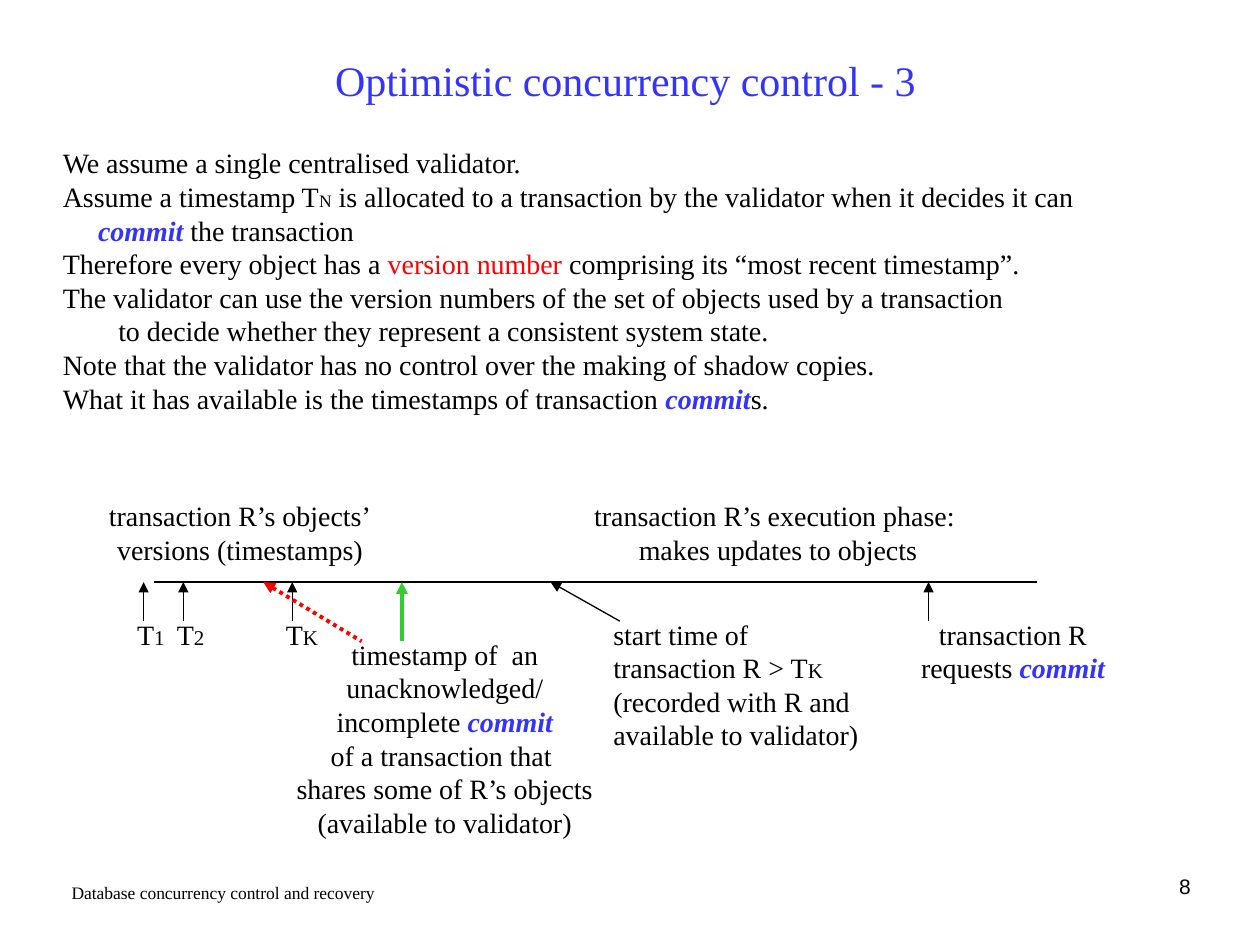
from dataclasses import dataclass
from typing import NamedTuple

from lxml.etree import SubElement
from pptx import Presentation
from pptx.dml.color import RGBColor
from pptx.enum.dml import MSO_LINE
from pptx.enum.shapes import MSO_CONNECTOR
from pptx.enum.text import MSO_ANCHOR, MSO_AUTO_SIZE, PP_ALIGN
from pptx.oxml.ns import qn
from pptx.util import Inches, Length, Pt

COLORS = {"ink": "000000", "blue": "3333FF", "red": "FF0000", "green": "33CC33"}
CELL = Inches(0.1)
COLUMNS, ROWS = 100, 75
AXIS_ROW = 46.2
TICK_ROW = 49.3
LABEL_ROW = 48.5
CAPTION_ROW = 39.1


class Run(NamedTuple):
    text: str
    size: float | None = None
    color: str | None = None
    strong: bool = False


class Line(NamedTuple):
    runs: tuple[Run, ...]
    indent: float = 0


class Area(NamedTuple):
    column: float
    row: float
    columns: float
    rows: float


@dataclass
class Label:
    area: Area
    lines: list[Line]
    align: PP_ALIGN = PP_ALIGN.LEFT


@dataclass
class Arrow:
    tip: float
    tail: float
    tail_row: float = TICK_ROW
    color: str = "ink"
    width: float = 0.75
    dash: MSO_LINE | None = None


def grid(cells: float) -> Length:
    return Length(round(cells * CELL))


def line(*parts: str | Run, indent: float = 0) -> Line:
    return Line(tuple(Run(part) if isinstance(part, str) else part for part in parts), indent)


def add_text(slide, area: Area, lines: list[Line], *, size: float = 16, color: str = "ink",
             font: str = "Times New Roman", align: PP_ALIGN = PP_ALIGN.LEFT,
             anchor: MSO_ANCHOR = MSO_ANCHOR.TOP, wrap: bool = False) -> None:
    shape = slide.shapes.add_textbox(*(grid(cells) for cells in area))
    frame = shape.text_frame
    frame.word_wrap = wrap
    frame.auto_size = MSO_AUTO_SIZE.NONE if wrap else MSO_AUTO_SIZE.SHAPE_TO_FIT_TEXT
    frame.vertical_anchor = anchor
    for index, content in enumerate(lines):
        paragraph = frame.add_paragraph() if index else frame.paragraphs[0]
        paragraph.alignment = align
        if content.indent:
            paragraph._p.get_or_add_pPr().set("marL", str(grid(content.indent)))
        for part in content.runs:
            run = paragraph.add_run()
            run.text = part.text
            run.font.name = font
            run.font.size = Pt(part.size or size)
            run.font.bold = run.font.italic = part.strong
            run.font.color.rgb = RGBColor.from_string(COLORS[part.color or color])


def add_line(slide, start: tuple[float, float], end: tuple[float, float], color: str = "ink",
             width: float = 0.75, dash: MSO_LINE | None = None, arrow: bool = False) -> None:
    connector = slide.shapes.add_connector(
        MSO_CONNECTOR.STRAIGHT, *(grid(cells) for cells in (*start, *end)))
    connector.line.color.rgb = RGBColor.from_string(COLORS[color])
    connector.line.width = Pt(width)
    if dash is not None:
        connector.line.dash_style = dash
    properties = connector._element.spPr
    if arrow:
        SubElement(properties.find(qn("a:ln")), qn("a:headEnd"), type="triangle")
    SubElement(properties, qn("a:effectLst"))


def add_arrow(slide, arrow: Arrow) -> None:
    add_line(slide, (arrow.tip, AXIS_ROW), (arrow.tail, arrow.tail_row),
             arrow.color, arrow.width, arrow.dash, arrow=True)


COMMIT = Run("commit", color="blue", strong=True)

BODY = [
    line("We assume a single centralised validator."),
    line("Assume a timestamp T", Run("N", 10),
         " is allocated to a transaction by the validator when it decides it can"),
    line(COMMIT, " the transaction", indent=2.8),
    line("Therefore every object has a ", Run("version number", color="red"),
         " comprising its “most recent timestamp”."),
    line("The validator can use the version numbers of the set of objects used by a transaction"),
    line("to decide whether they represent a consistent system state.", indent=4.4),
    line("Note that the validator has no control over the making of shadow copies."),
    line("What it has available is the timestamps of transaction ", COMMIT, "s."),
]

LABELS = [
    Label(Area(4, 11.1, 89.9, 25), BODY),
    Label(Area(7.6, CAPTION_ROW, 22.9, 6.4),
          [line("transaction R’s objects’"), line("versions (timestamps)")], PP_ALIGN.CENTER),
    Label(Area(46.1, CAPTION_ROW, 31.3, 6.4),
          [line("transaction R’s execution phase: "), line("makes updates to objects")],
          PP_ALIGN.CENTER),
    Label(Area(47.7, LABEL_ROW, 22, 11.7),
          [line("start time of"), line("transaction R > T", Run("K", 12)),
           line("(recorded with R and"), line("available to validator)")]),
    Label(Area(72.1, LABEL_ROW, 16.6, 6.4),
          [line("transaction R"), line("requests ", COMMIT)], PP_ALIGN.CENTER),
    Label(Area(22.5, 50.1, 25.6, 17),
          [line("timestamp of  an"), line("unacknowledged/"), line("incomplete ", COMMIT),
           line("of a transaction that "), line("shares some of R’s objects"),
           line("(available to validator)")], PP_ALIGN.CENTER),
]

TICKS = {"1": 11.4, "2": 14.55, "K": 23.2}

ARROWS = [
    *(Arrow(column, column) for column in TICKS.values()),
    Arrow(43.7, 49.2),
    Arrow(73.7, 73.7),
    Arrow(31.9, 31.9, 50.9, "green", 2.25),
    Arrow(20.9, 28.7, 50.9, "red", 2.25, MSO_LINE.ROUND_DOT),
]


def main() -> None:
    presentation = Presentation()
    presentation.slide_width = grid(COLUMNS)
    presentation.slide_height = grid(ROWS)
    slide = presentation.slides.add_slide(presentation.slide_layouts[6])

    add_text(slide, Area(4.3, 2.8, 90.7, 7.1), [line("Optimistic concurrency control - 3")],
             size=24, color="blue", align=PP_ALIGN.CENTER, anchor=MSO_ANCHOR.MIDDLE, wrap=True)
    for label in LABELS:
        add_text(slide, label.area, label.lines, align=label.align)
    add_line(slide, (12.2, AXIS_ROW), (82.3, AXIS_ROW))
    for name, column in TICKS.items():
        add_text(slide, Area(column - 1.5, LABEL_ROW, 4.8, 3.7), [line("T", Run(name, 12))])
    for arrow in ARROWS:
        add_arrow(slide, arrow)
    add_text(slide, Area(4.7, 69.5, 32, 3.6),
             [line("Database concurrency control and recovery")], size=10, wrap=True)
    add_text(slide, Area(71.9, 68.8, 23.6, 3.6), [line("8")],
             size=12, font="Arial", align=PP_ALIGN.RIGHT, wrap=True)
    presentation.save("out.pptx")


if __name__ == "__main__":
    main()
